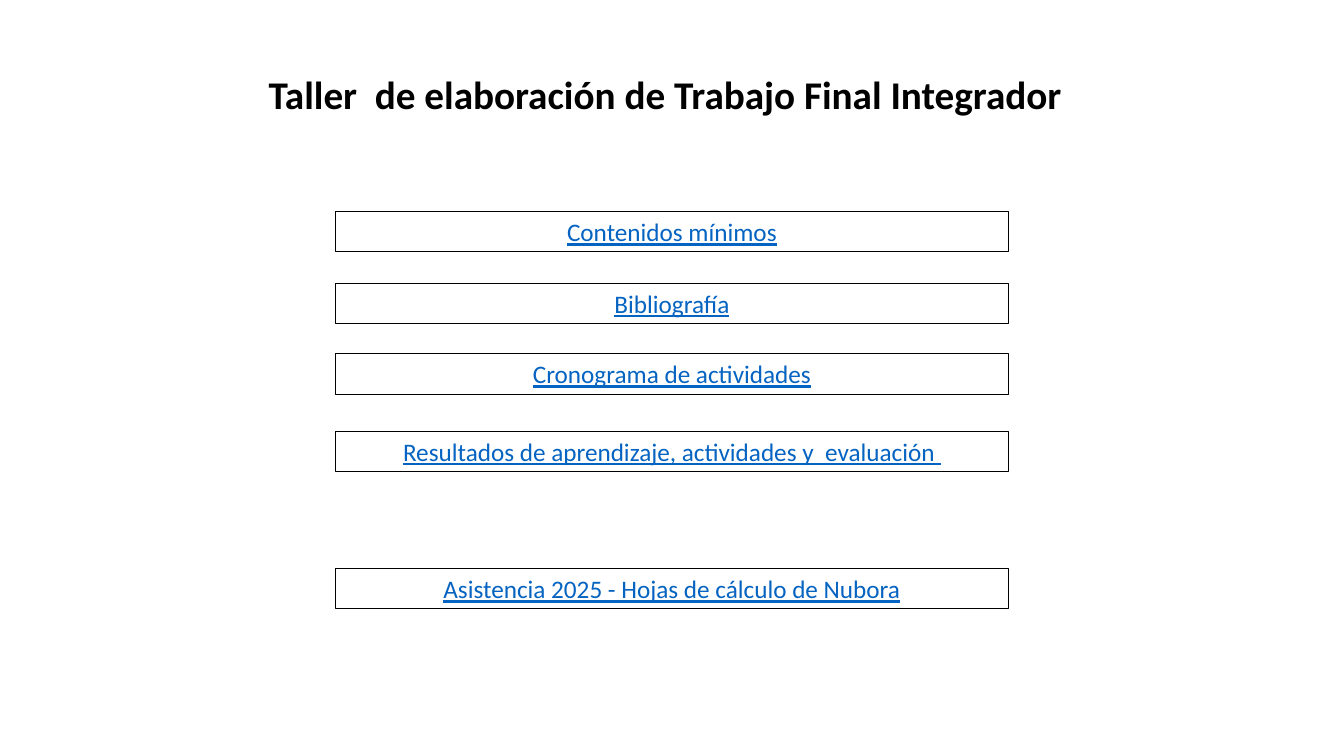
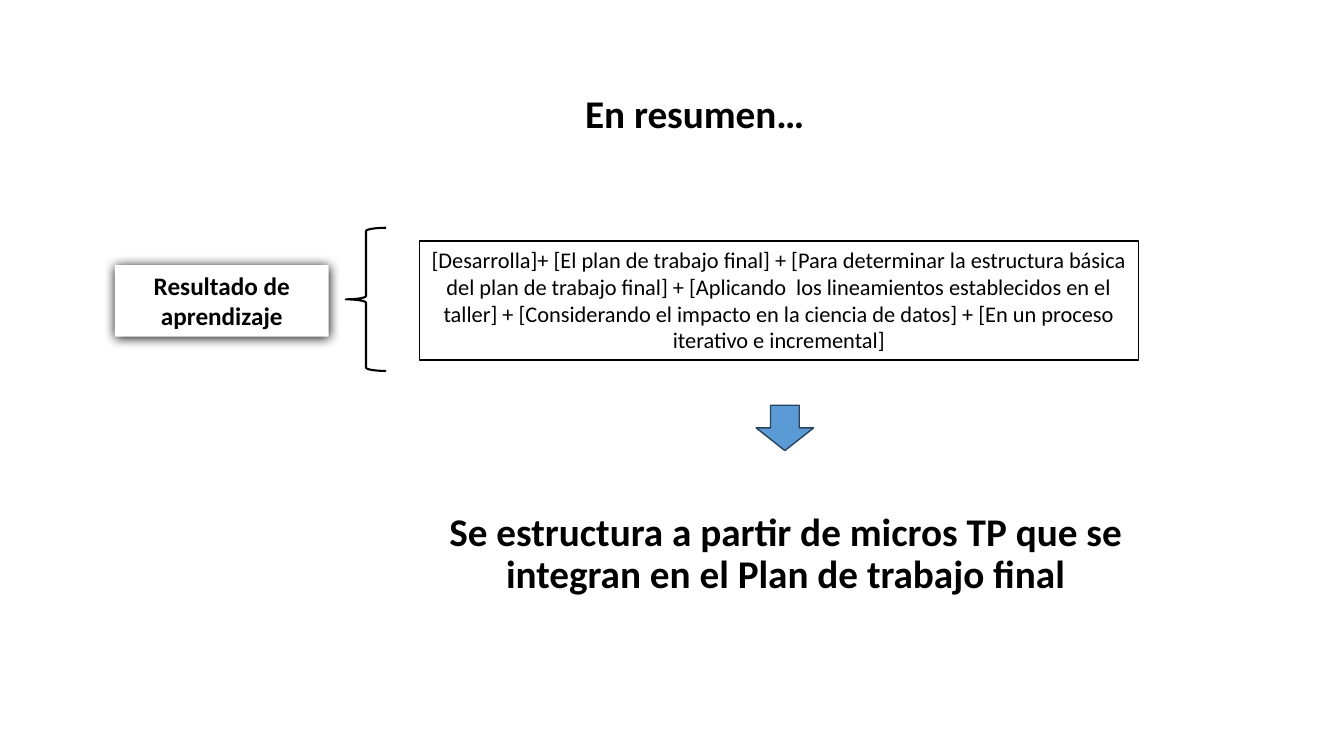
import pptx
import pptx.dml.color
import pptx.enum.shapes
import pptx.enum.text
import pptx.oxml
import pptx.oxml.ns
import pptx.util
from pptx.util import Inches

COLORS = {
    "text": "000000",
    "outline": "000000",
    "link": "0563C1",
    "paper": "FFFFFF",
    "arrow": "5B9BD5",
    "arrow_edge": "28445D",
    "shadow": "000000",
}
FONT = "Calibri"
TITLE_SIZE = 28
LABEL_SIZE = 18
SHAPES = pptx.enum.shapes.MSO_SHAPE
ANCHORS = pptx.enum.text.MSO_ANCHOR


def rgb(name):
    return pptx.dml.color.RGBColor.from_string(COLORS[name])


def write(shape, text, size=LABEL_SIZE, color="text", bold=False,
          underline=False, anchor=ANCHORS.TOP, line_spacing=1.0):
    """Fill the shape with one centred, wrapped paragraph."""
    frame = shape.text_frame
    frame.word_wrap = True
    frame.auto_size = pptx.enum.text.MSO_AUTO_SIZE.NONE
    frame.vertical_anchor = anchor
    paragraph = frame.paragraphs[0]
    paragraph.alignment = pptx.enum.text.PP_ALIGN.CENTER
    paragraph.line_spacing = line_spacing
    run = paragraph.add_run()
    run.text = text
    run.font.name = FONT
    run.font.size = pptx.util.Pt(size)
    run.font.bold = bold
    run.font.underline = underline
    run.font.color.rgb = rgb(color)


class Deck:
    """Holds the shared style and the slide being built."""

    def __init__(self):
        self.presentation = pptx.Presentation()
        self.presentation.slide_width = Inches(13.33)
        self.presentation.slide_height = Inches(7.5)
        self.slide = None

    def new_slide(self, title, left, top, width):
        title_only = self.presentation.slide_layouts[5]
        self.slide = self.presentation.slides.add_slide(title_only)
        heading = self.slide.shapes.title
        heading.left, heading.top = Inches(left), Inches(top)
        heading.width, heading.height = Inches(width), Inches(0.57)
        write(heading, title, size=TITLE_SIZE, bold=True)

    def shape(self, kind, left, top, width, height,
              fill=None, line=None, weight=1):
        shape = self.slide.shapes.add_shape(
            kind, Inches(left), Inches(top), Inches(width), Inches(height))
        shape.shadow.inherit = False
        if fill:
            shape.fill.solid()
            shape.fill.fore_color.rgb = rgb(fill)
        else:
            shape.fill.background()
        if line:
            shape.line.color.rgb = rgb(line)
            shape.line.width = pptx.util.Pt(weight)
        else:
            shape.line.fill.background()
        return shape

    def box(self, text, left, top, width, height, fill=None,
            line="outline", weight=1, **text_format):
        box = self.shape(SHAPES.RECTANGLE, left, top, width, height,
                         fill, line, weight)
        write(box, text, **text_format)
        return box

    def link_box(self, text, top):
        self.box(text, 3.33, top, 6.67, 0.4, weight=0.75,
                 color="link", underline=True)

    def shadowed_box(self, text, left, top, width, height):
        box = self.box(text, left, top, width, height, fill="paper",
                       line=None, bold=True)
        effects = box._element.spPr.find(pptx.oxml.ns.qn("a:effectLst"))
        effects.append(pptx.oxml.parse_xml(
            f'<a:outerShdw {pptx.oxml.ns.nsdecls("a")}'
            f' blurRad="{pptx.util.Pt(8.5)}" dist="{pptx.util.Pt(1)}"'
            ' dir="5400000" algn="ctr" rotWithShape="0">'
            f'<a:srgbClr val="{COLORS["shadow"]}"/></a:outerShdw>'))

    def statement(self, text, left, top, width, height):
        statement = self.slide.shapes.add_textbox(
            Inches(left), Inches(top), Inches(width), Inches(height))
        write(statement, text, size=TITLE_SIZE, bold=True,
              anchor=ANCHORS.MIDDLE, line_spacing=0.9)


def build_index(deck):
    deck.new_slide("Taller  de elaboración de Trabajo Final Integrador",
                   2.18, 0.65, 8.83)
    sections = [
        ("Contenidos mínimos", 2.1),
        ("Bibliografía", 2.81),
        ("Cronograma de actividades", 3.51),
        ("Resultados de aprendizaje, actividades y  evaluación ", 4.28),
        ("Asistencia 2025 - Hojas de cálculo de Nubora", 5.64),
    ]
    for section, top in sections:
        deck.link_box(section, top)


def build_summary(deck):
    deck.new_slide("En resumen…", 3.56, 0.84, 6.66)
    deck.shadowed_box("Resultado de aprendizaje", 1.14, 2.63, 2.12, 0.71)
    deck.shape(SHAPES.LEFT_BRACE, 3.43, 2.26, 0.4, 1.42,
               line="outline", weight=1.5)
    deck.box("[Desarrolla]+ [El plan de trabajo final] + [Para determinar la "
             "estructura básica del plan de trabajo final] + [Aplicando  los "
             "lineamientos establecidos en el taller] + [Considerando el "
             "impacto en la ciencia de datos] + [En un proceso iterativo e "
             "incremental]", 4.16, 2.39, 7.13, 1.18, size=16)
    deck.shape(SHAPES.DOWN_ARROW, 7.5, 4.02, 0.57, 0.45,
               fill="arrow", line="arrow_edge")
    deck.statement("Se estructura a partir de micros TP que se integran en "
                   "el Plan de trabajo final", 3.97, 4.78, 7.64, 1.45)


def main():
    deck = Deck()
    build_index(deck)
    build_summary(deck)
    deck.presentation.save("out.pptx")


if __name__ == "__main__":
    main()
